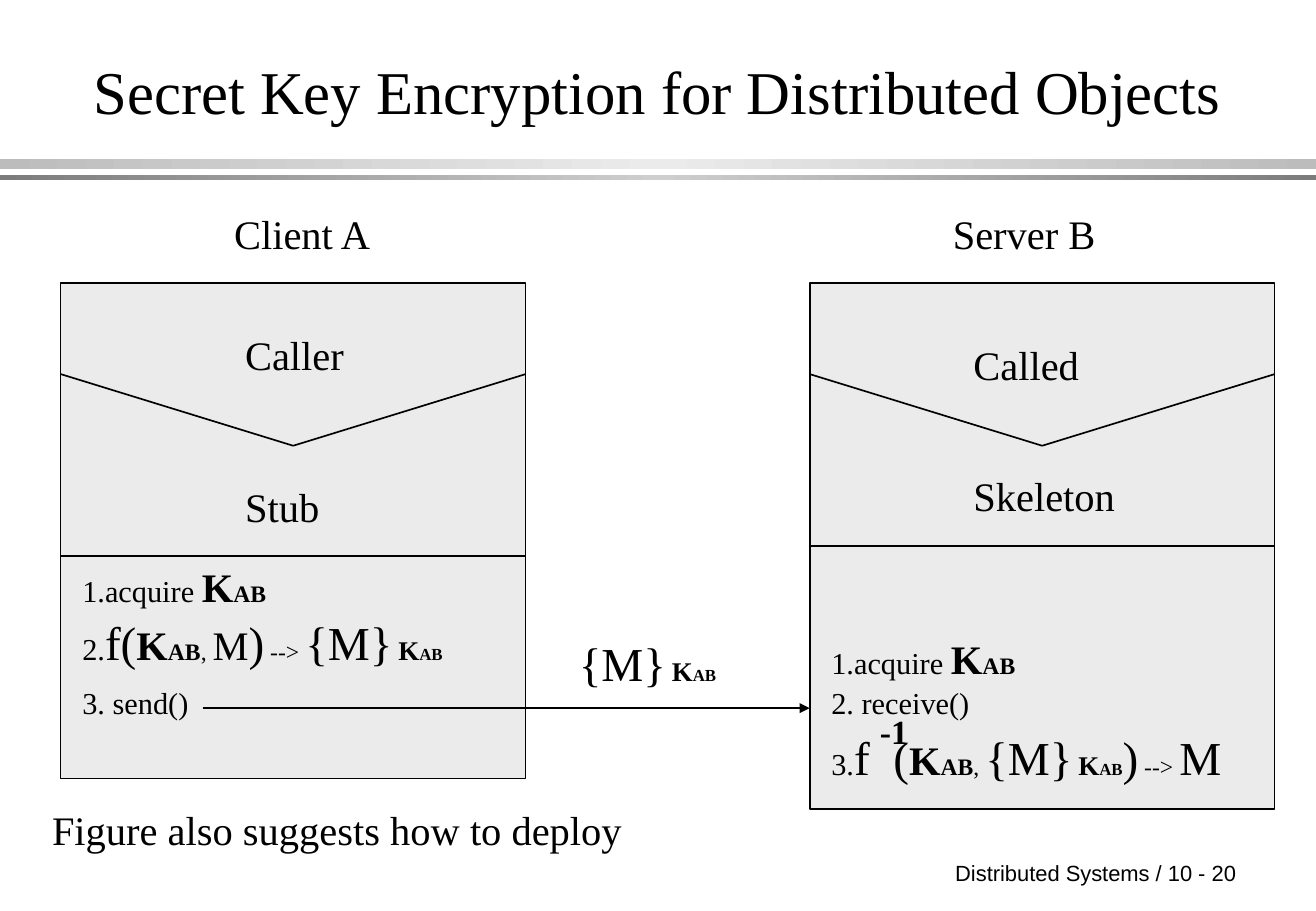
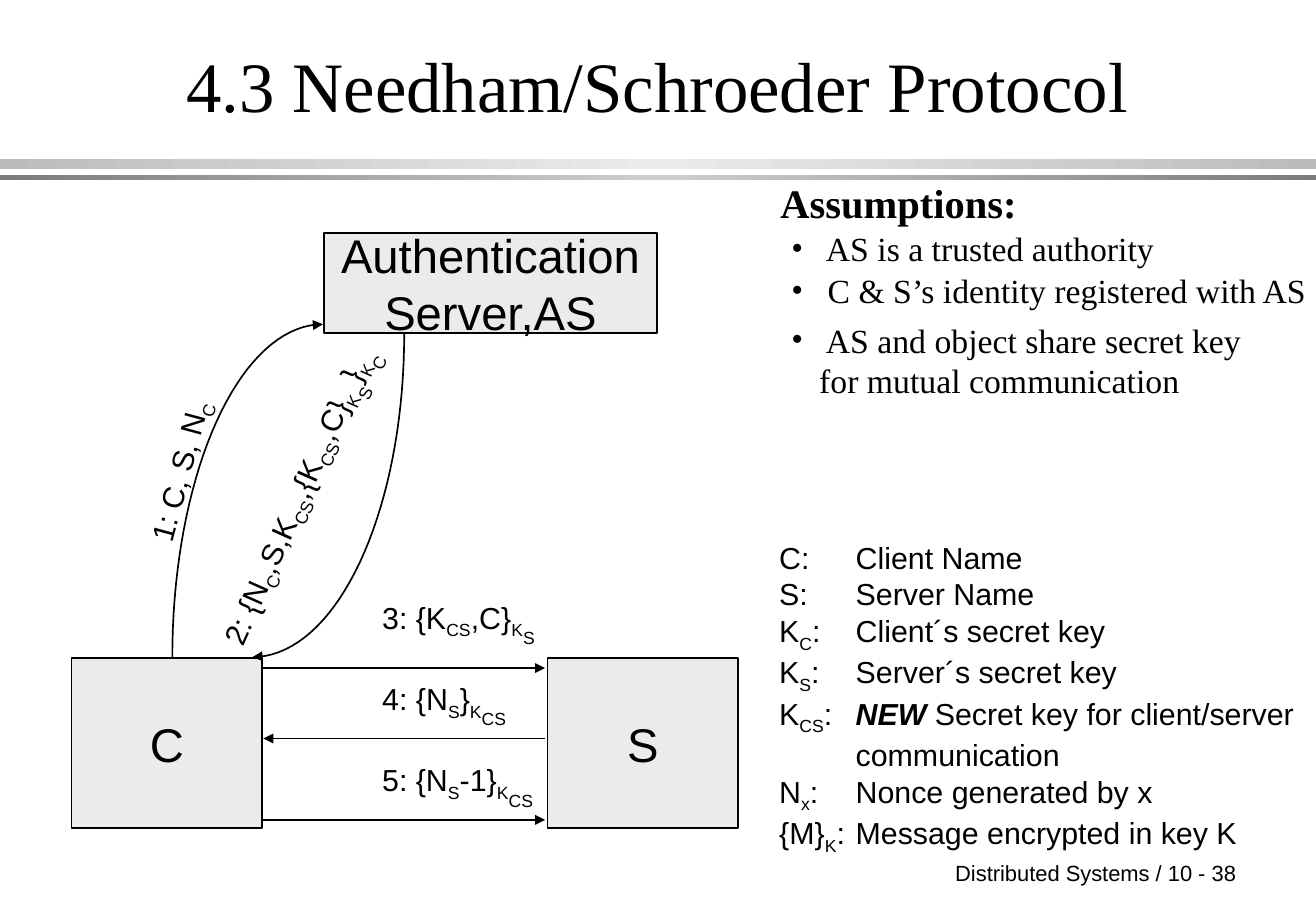
"""Build two slides on secret key encryption and the Needham/Schroeder protocol."""
from math import cos, radians, sin

from lxml.etree import SubElement
from pptx import Presentation
from pptx.dml.color import RGBColor
from pptx.enum.shapes import MSO_CONNECTOR, MSO_SHAPE
from pptx.enum.text import MSO_ANCHOR, MSO_AUTO_SIZE, PP_ALIGN
from pptx.oxml.ns import qn
from pptx.util import Inches, Pt

BLACK = RGBColor(0x00, 0x00, 0x00)
PANEL = RGBColor(0xEB, 0xEB, 0xEB)
BAND_EDGE, BAND_MIDDLE = RGBColor(0xBC, 0xBC, 0xBC), RGBColor(0xEB, 0xEB, 0xEB)
RULE_EDGE, RULE_MIDDLE = RGBColor(0x7C, 0x7C, 0x7C), RGBColor(0xCE, 0xCE, 0xCE)
SERIF, SANS = "Times New Roman", "Arial"
SLIDE_WIDTH, SLIDE_HEIGHT = 10.84, 7.5

BANDS = [(1.31, 0.08, BAND_EDGE, BAND_MIDDLE), (1.44, 0.04, RULE_EDGE, RULE_MIDDLE)]

SMALL, MEDIUM, LARGE = {"size": 14}, {"size": 24}, {"size": 28}
SUB, LOW = {"baseline": -25}, {"baseline": -50}
KEY = [("K", {"size": 24, "bold": True}), ("AB", {"size": 14, "bold": True})]
MESSAGE = [("{M}", LARGE), (" ", SMALL),
           ("K", {"size": 16, "bold": True}), ("AB", {"size": 10, "bold": True})]
COMMA, ARROW = (", ", SMALL), (" --> ", SMALL)
ACQUIRE = ["1.acquire ", *KEY]

PANEL_TOP, PANEL_WIDTH = 2.33, 3.83
NOTCH_TOP, NOTCH_BOTTOM = 3.08, 3.67
CLIENT = {
    "left": 0.5, "height": 4.08, "divider": 4.58,
    "labels": [("Client A", 1.33, 1.67), ("Caller", 1.42, 2.67), ("Stub", 1.42, 3.92)],
    "steps": [
        (ACQUIRE, 4.58),
        (["2.", ("f(", LARGE), *KEY, COMMA, ("M", MEDIUM), (")", LARGE), ARROW, *MESSAGE], 5),
        (["3. send()"], 5.58),
    ],
}
SERVER = {
    "left": 6.67, "height": 4.33, "divider": None,
    "labels": [("Server B", 1.08, 1.67), ("Called", 1.25, 2.75), ("Skeleton", 1.25, 3.83)],
    "steps": [
        (ACQUIRE, 5.17),
        (["2. receive()"], 5.58),
        (["3.", ("f", LARGE), (" ", {"size": 28, "spacing": 7}), ("(", LARGE), *KEY, COMMA,
          *MESSAGE, (")", LARGE), ARROW, ("M", LARGE)], 5.95),
    ],
}

NODES = [
    (["Authentication", "Server,AS"], 2.67, 1.92, 2.74, 0.82),
    (["C"], 0.59, 5.42, 1.57, 1.4),
    (["S"], 4.51, 5.42, 1.57, 1.4),
]
CURVES = [
    {"center": (2.08, 2.75), "radii": (1.25, 2.66), "start": 0},
    {"center": (2.66, 5.41), "radii": (1.24, 2.74), "start": 180},
]
CURVE_LABELS = [
    (["1: C, S, N", ("C", SUB)], (0.8, 3.66, 1.39, 0.44), 285),
    (["2: {N", ("C", SUB), ",S,K", ("CS", SUB), ",{K", ("CS", SUB), ",C}", ("K", SUB),
      ("S", LOW), "}", ("K", SUB), ("C", LOW)], (1.01, 3.76, 3.05, 0.5), 294),
]
CLIENT_SIDE, SERVER_SIDE = 2.17, 4.49
EXCHANGES = [
    (["3: {K", ("CS", SUB), ",C}", ("K", SUB), ("S", LOW)], 1.46, CLIENT_SIDE, SERVER_SIDE, 5.5),
    (["4: {N", ("S", SUB), "}", ("K", SUB), ("CS", LOW)], 1.22, SERVER_SIDE, CLIENT_SIDE, 6.08),
    (["5: {N", ("S", SUB), "-1}", ("K", SUB), ("CS", LOW)], 1.44, CLIENT_SIDE, SERVER_SIDE, 6.75),
]
EXCHANGE_LABEL_TOP, EXCHANGE_LABEL_STEP = 4.88, 0.67
ASSUMPTIONS = [
    (" AS is a trusted authority", 1.83, 3.58, 0.44),
    (" C & S’s identity registered with AS", 2.17, 4.83, 0.44),
    (" AS and object share secret key for mutual communication", 2.58, 4.17, 0.77),
]
LEGEND = [
    ["C: \tClient Name"],
    ["S: \tServer Name"],
    ["K", ("C", SUB), ":\tClient´s secret key"],
    ["K", ("S", SUB), ": \tServer´s secret key"],
    ["K", ("CS", SUB), ": \t", ("NEW", {"bold": True, "italic": True}),
     " Secret key for client/server"],
    ["\tcommunication"],
    ["N", ("x", SUB), ": \tNonce generated by x"],
    ["{M}", ("K", SUB), ":\tMessage encrypted in key K"],
]


def add_run(paragraph, text, font, size, bold=False, italic=False, baseline=0, spacing=0):
    run = paragraph.add_run()
    run.text = text
    run.font.name, run.font.size = font, Pt(size)
    run.font.bold, run.font.italic = bold, italic
    run.font.color.rgb = BLACK
    properties = run._r.get_or_add_rPr()
    if baseline:
        properties.set("baseline", str(baseline * 1000))
    if spacing:
        properties.set("spc", str(spacing * 100))


def write_text(shape, paragraphs, font=SERIF, size=24, bold=False, align=PP_ALIGN.LEFT,
               anchor=MSO_ANCHOR.TOP, wrap=True, grow=True, bullet=None, tab=None):
    frame = shape.text_frame
    frame.word_wrap, frame.vertical_anchor = wrap, anchor
    frame.auto_size = MSO_AUTO_SIZE.SHAPE_TO_FIT_TEXT if grow else MSO_AUTO_SIZE.NONE
    for index, runs in enumerate(paragraphs):
        paragraph = frame.paragraphs[0] if index == 0 else frame.add_paragraph()
        paragraph.alignment = align
        properties = paragraph._p.get_or_add_pPr()
        if bullet:
            properties.set("marL", str(Inches(0.23)))
            properties.set("indent", str(-Inches(0.23)))
            SubElement(properties, qn("a:buFont")).set("typeface", font)
            SubElement(properties, qn("a:buChar")).set("char", bullet)
        if tab:
            stop = SubElement(SubElement(properties, qn("a:tabLst")), qn("a:tab"))
            stop.set("pos", str(Inches(tab)))
            stop.set("algn", "l")
        for run in [runs] if isinstance(runs, str) else runs:
            text, changes = (run, {}) if isinstance(run, str) else run
            add_run(paragraph, text, **{"font": font, "size": size, "bold": bold, **changes})


def add_text(slide, paragraphs, left, top, width, height, **text_format):
    box = slide.shapes.add_textbox(Inches(left), Inches(top), Inches(width), Inches(height))
    write_text(box, paragraphs, **text_format)
    return box


def add_box(slide, left, top, width, height):
    box = slide.shapes.add_shape(MSO_SHAPE.RECTANGLE, Inches(left), Inches(top),
                                 Inches(width), Inches(height))
    box.shadow.inherit = False
    box.fill.solid()
    box.fill.fore_color.rgb = PANEL
    style_line(box)
    return box


def style_line(shape, arrow=False):
    shape.line.color.rgb = BLACK
    shape.line.width = Pt(1)
    if arrow:
        SubElement(shape.line._get_or_add_ln(), qn("a:tailEnd")).set("type", "triangle")


def add_line(slide, start, end, arrow=False):
    line = slide.shapes.add_connector(MSO_CONNECTOR.STRAIGHT, *map(Inches, start + end))
    style_line(line, arrow)
    SubElement(line._element.spPr, qn("a:effectLst"))
    return line


def add_curve(slide, center, radii, start):
    points = []
    for step in range(37):
        angle = radians(start + step * 2.5)
        points.append((Inches(center[0] + radii[0] * cos(angle)),
                       Inches(center[1] + radii[1] * sin(angle))))
    builder = slide.shapes.build_freeform(*points[0])
    builder.add_line_segments(points[1:], close=False)
    curve = builder.convert_to_shape()
    curve.shadow.inherit = False
    curve.fill.background()
    style_line(curve, arrow=True)


def add_band(slide, top, height, edge, middle):
    band = add_box(slide, 0, top, SLIDE_WIDTH, height)
    band.line.fill.background()
    band.fill.gradient()
    band.fill.gradient_angle = 0
    stops = band._element.spPr.find(qn("a:gradFill")).find(qn("a:gsLst"))
    for stop in list(stops):
        stops.remove(stop)
    for position, color in ((0, edge), (50, middle), (100, edge)):
        stop = SubElement(stops, qn("a:gs"))
        stop.set("pos", str(position * 1000))
        SubElement(stop, qn("a:srgbClr")).set("val", str(color))


def new_slide(presentation, title, title_size, number):
    slide = presentation.slides.add_slide(presentation.slide_layouts[6])
    for band in BANDS:
        add_band(slide, *band)
    add_text(slide, [f"Distributed Systems / 10 - {number}"], 7.77, 7.03, 3, 0.31,
             font=SANS, size=13)
    add_text(slide, [title], 0.33, 0.42, 10.17, 0.67, size=title_size,
             align=PP_ALIGN.CENTER, anchor=MSO_ANCHOR.BOTTOM, grow=False)
    return slide


def add_party(slide, party):
    left, right = party["left"], party["left"] + PANEL_WIDTH
    panel = add_box(slide, left, PANEL_TOP, PANEL_WIDTH, party["height"])
    for side in (left, right):
        add_line(slide, (side, NOTCH_TOP), (left + PANEL_WIDTH / 2, NOTCH_BOTTOM))
    middle = PANEL_TOP + party["height"] / 2
    height = party["divider"] or middle
    divider = add_line(slide, (left, height), (right, height))
    if height == middle:
        divider.begin_connect(panel, 1)
        divider.end_connect(panel, 3)
    for text, offset, top in party["labels"]:
        add_text(slide, [text], left + offset, top, 1.92, 0.5)
    for runs, top in party["steps"]:
        add_text(slide, [runs], left + 0.08, top, 3.5, 0.5, size=18)


def build_encryption_slide(presentation):
    slide = new_slide(presentation, "Secret Key Encryption for Distributed Objects", 36, 20)
    for party in (CLIENT, SERVER):
        add_party(slide, party)
    add_line(slide, (1.67, 5.83), (SERVER["left"], 5.83), arrow=True)
    add_text(slide, [MESSAGE], 4.67, 5.17, 1.33, 0.57, wrap=False)
    add_text(slide, ["-1"], 7.15, 5.8, 0.43, 0.44, size=20, bold=True, wrap=False)
    add_text(slide, ["Figure also suggests how to deploy"], 0.33, 6.58, 10.08, 0.5)


def build_protocol_slide(presentation):
    slide = new_slide(presentation, "4.3 Needham/Schroeder Protocol", 42, 38)
    for lines, *place in NODES:
        write_text(add_box(slide, *place), lines, font=SANS, size=28, align=PP_ALIGN.CENTER,
                   anchor=MSO_ANCHOR.MIDDLE, wrap=False, grow=False)
    for curve in CURVES:
        add_curve(slide, **curve)
    for runs, place, rotation in CURVE_LABELS:
        label = add_text(slide, [runs], *place, font=SANS, size=18)
        label.rotation = rotation
    for index, (runs, width, start, end, height) in enumerate(EXCHANGES):
        add_line(slide, (start, height), (end, height), arrow=True)
        add_text(slide, [runs], 3.05, EXCHANGE_LABEL_TOP + index * EXCHANGE_LABEL_STEP,
                 width, 0.5, font=SANS, size=18, wrap=False)
    add_text(slide, ["Assumptions:"], 6.33, 1.42, 4.17, 0.5, bold=True)
    for text, top, width, height in ASSUMPTIONS:
        add_text(slide, [text], 6.42, top, width, height, size=20, bullet="•")
    add_text(slide, LEGEND, 6.32, 4.39, 4.51, 2.7, font=SANS, size=18, wrap=False, tab=0.63)


def main():
    presentation = Presentation()
    presentation.slide_width = Inches(SLIDE_WIDTH)
    presentation.slide_height = Inches(SLIDE_HEIGHT)
    build_encryption_slide(presentation)
    build_protocol_slide(presentation)
    presentation.save("out.pptx")


if __name__ == "__main__":
    main()
